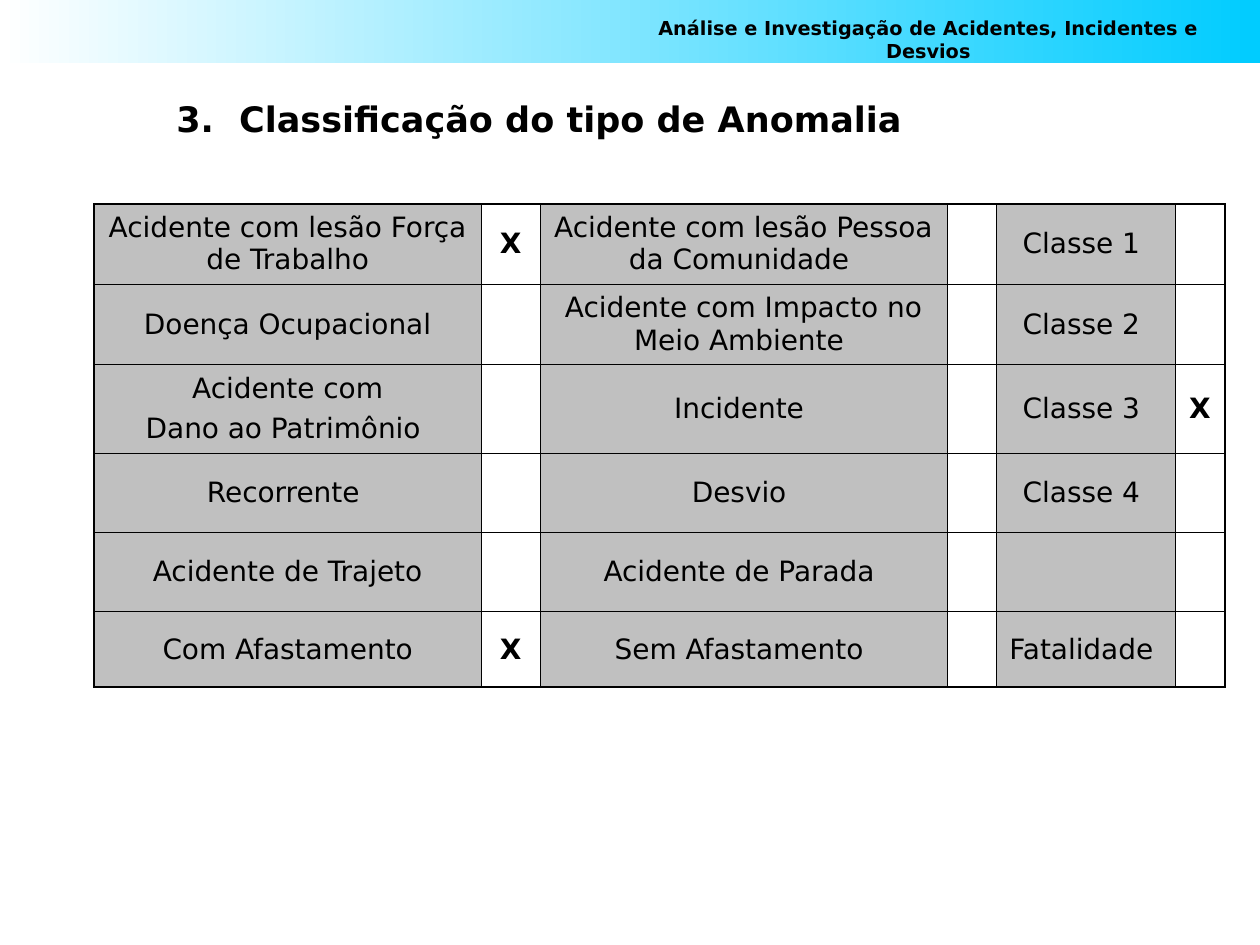
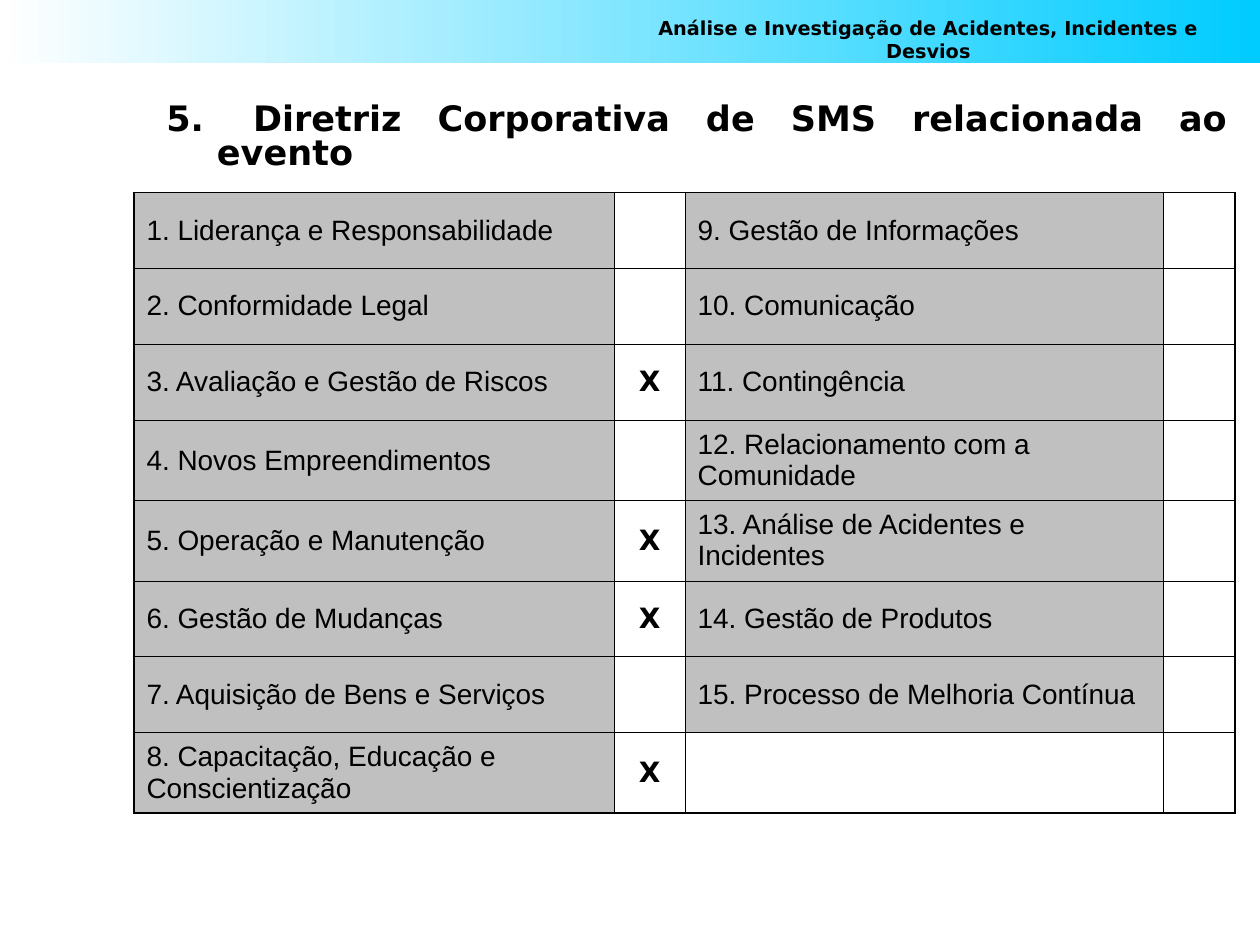
from dataclasses import dataclass
from typing import Optional

from lxml import etree
from pptx import Presentation
from pptx.dml.color import RGBColor
from pptx.enum import shapes, text
from pptx.oxml import ns
from pptx.util import Cm, Pt

# Shared style
BLACK, WHITE, CYAN, GREY = "000000", "FFFFFF", "00CCFF", "C0C0C0"
HEADING_FONT, LIST_FONT = "DejaVu Sans", "Arial"
HEADER = "Análise e Investigação de Acidentes, Incidentes e Desvios"
MARK = "X"
OUTER_LINE, INNER_LINE = 1.08, 0.45
CENTER, LEFT = text.PP_ALIGN.CENTER, text.PP_ALIGN.LEFT


@dataclass
class Heading:
    """Numbered slide title; lengths in cm."""
    number: int
    wording: str
    left: float
    top: float
    width: float
    height: float


@dataclass
class Checklist:
    """Grey labels in even columns, marks in odd ones; None leaves a cell white."""
    left: float
    top: float
    columns: list[float]
    heights: list[float]
    rows: list[list[Optional[str]]]
    font: str
    align: text.PP_ALIGN


def rgb(value: str) -> RGBColor:
    return RGBColor.from_string(value)


def add_xml(parent, tag: str, **attributes):
    return etree.SubElement(parent, ns.qn(tag), attributes)


def format_runs(paragraph, size: float, font: str, bold: bool = False) -> None:
    for span in paragraph.runs:
        span.font.size, span.font.name, span.font.bold = Pt(size), font, bold
        span.font.color.rgb = rgb(BLACK)


# Header band and its text
def draw_header(page, deck) -> None:
    band = page.shapes.add_shape(shapes.MSO_SHAPE.RECTANGLE, 0, 0, deck.slide_width, Cm(1.27))
    band.shadow.inherit = False
    band.line.fill.background()
    band.fill.gradient()
    band.fill.gradient_angle = 180
    for stop, color in zip(band.fill.gradient_stops, (CYAN, WHITE)):
        stop.color.rgb = rgb(color)

    box = page.shapes.add_textbox(Cm(12.9), Cm(0.2), Cm(11.63), Cm(0.74))
    frame = box.text_frame
    frame.word_wrap = True
    frame.text = HEADER
    frame.paragraphs[0].alignment = CENTER
    format_runs(frame.paragraphs[0], 11, HEADING_FONT, True)


# Numbered title
def draw_heading(page, heading: Heading) -> None:
    title = page.shapes.title
    title.left, title.top = Cm(heading.left), Cm(heading.top)
    title.width, title.height = Cm(heading.width), Cm(heading.height)
    title.fill.solid()
    title.fill.fore_color.rgb = rgb(WHITE)
    add_xml(title._element.spPr.find(".//" + ns.qn("a:srgbClr")), "a:alpha", val="70000")

    frame = title.text_frame
    frame.text = heading.wording
    frame.word_wrap = True
    frame.auto_size = text.MSO_AUTO_SIZE.SHAPE_TO_FIT_TEXT
    frame.vertical_anchor = text.MSO_ANCHOR.TOP
    paragraph = frame.paragraphs[0]
    properties = paragraph._p.get_or_add_pPr()
    properties.set("marL", str(Cm(1.02)))
    properties.set("indent", str(-Cm(1.02)))
    add_xml(properties, "a:buAutoNum", type="arabicPeriod", startAt=str(heading.number))
    paragraph.alignment = text.PP_ALIGN.JUSTIFY
    paragraph.line_spacing = 0.8
    format_runs(paragraph, 20, HEADING_FONT, True)


# Table with labels and marks
def set_borders(cell, outer_sides: dict[str, bool]) -> None:
    properties = cell._tc.get_or_add_tcPr()
    for side, is_outer in outer_sides.items():
        width = Pt(OUTER_LINE if is_outer else INNER_LINE)
        line = add_xml(properties, f"a:ln{side}", w=str(width))
        add_xml(add_xml(line, "a:solidFill"), "a:srgbClr", val=BLACK)


def draw_checklist(page, checklist: Checklist) -> None:
    row_count, column_count = len(checklist.rows), len(checklist.columns)
    table = page.shapes.add_table(
        row_count, column_count, Cm(checklist.left), Cm(checklist.top),
        Cm(sum(checklist.columns)), Cm(sum(checklist.heights))).table
    table.first_row = table.horz_banding = False
    for column, width in zip(table.columns, checklist.columns):
        column.width = Cm(width)
    for row, height in zip(table.rows, checklist.heights):
        row.height = Cm(height)

    for r, wordings in enumerate(checklist.rows):
        for c, wording in enumerate(wordings):
            cell = table.cell(r, c)
            set_borders(cell, {"L": c == 0, "R": c == column_count - 1,
                               "T": r == 0, "B": r == row_count - 1})
            is_label = c % 2 == 0
            if is_label and wording is not None:
                cell.fill.solid()
                cell.fill.fore_color.rgb = rgb(GREY)
            else:
                cell.fill.background()
            cell.vertical_anchor = text.MSO_ANCHOR.MIDDLE
            cell.text_frame.text = wording or ""
            for index, paragraph in enumerate(cell.text_frame.paragraphs):
                paragraph.alignment = checklist.align if is_label else CENTER
                if index:
                    paragraph.space_before = Pt(4)
                format_runs(paragraph, 16, checklist.font if is_label else HEADING_FONT,
                            not is_label)


# Content
ANOMALY_TYPES = Checklist(
    left=1.9, top=4.11,
    columns=[7.8, 1.19, 8.2, 1, 3.6, 1],
    heights=[1.62, 1.62, 1.78, 1.6, 1.6, 1.52],
    rows=[
        ["Acidente com lesão Força de Trabalho", MARK,
         "Acidente com lesão Pessoa da Comunidade ", None, "Classe 1 ", None],
        ["Doença Ocupacional", None,
         "Acidente com Impacto no Meio Ambiente ", None, "Classe 2 ", None],
        ["Acidente com\nDano ao Patrimônio ", None, "Incidente ", None, "Classe 3 ", MARK],
        ["Recorrente ", None, "Desvio ", None, "Classe 4 ", None],
        ["Acidente de Trajeto", None, "Acidente de Parada ", None, "", None],
        ["Com Afastamento", MARK, "Sem Afastamento ", None, "Fatalidade ", None],
    ],
    font=HEADING_FONT, align=CENTER)

GUIDELINES = Checklist(
    left=2.7, top=3.88,
    columns=[9.68, 1.43, 9.64, 1.45],
    heights=[1.53, 1.53, 1.53, 1.62, 1.62, 1.53, 1.53, 1.62],
    rows=[
        ["1. Liderança e Responsabilidade", None, "9. Gestão de Informações", None],
        ["2. Conformidade Legal", None, "10. Comunicação", None],
        ["3. Avaliação e Gestão de Riscos", MARK, "11. Contingência", None],
        ["4. Novos Empreendimentos", None, "12. Relacionamento com a Comunidade", None],
        ["5. Operação e Manutenção", MARK, "13. Análise de Acidentes e Incidentes", None],
        ["6. Gestão de Mudanças", MARK, "14. Gestão de Produtos", None],
        ["7. Aquisição de Bens e Serviços", None, "15. Processo de Melhoria Contínua", None],
        ["8. Capacitação, Educação e Conscientização", MARK, None, None],
    ],
    font=LIST_FONT, align=LEFT)

PAGES = [
    (Heading(3, " Classificação do tipo de Anomalia ", 3.3, 2, 16, 5.9), ANOMALY_TYPES),
    (Heading(5, " Diretriz Corporativa de SMS relacionada ao evento ", 3.1, 1.98, 21.9, 0.94),
     GUIDELINES),
]


def main() -> None:
    deck = Presentation()
    deck.slide_width, deck.slide_height = Cm(25.4), Cm(19.05)
    title_only = deck.slide_layouts[5]
    for heading, checklist in PAGES:
        page = deck.slides.add_slide(title_only)
        draw_header(page, deck)
        draw_heading(page, heading)
        draw_checklist(page, checklist)
    deck.save("out.pptx")


if __name__ == "__main__":
    main()
